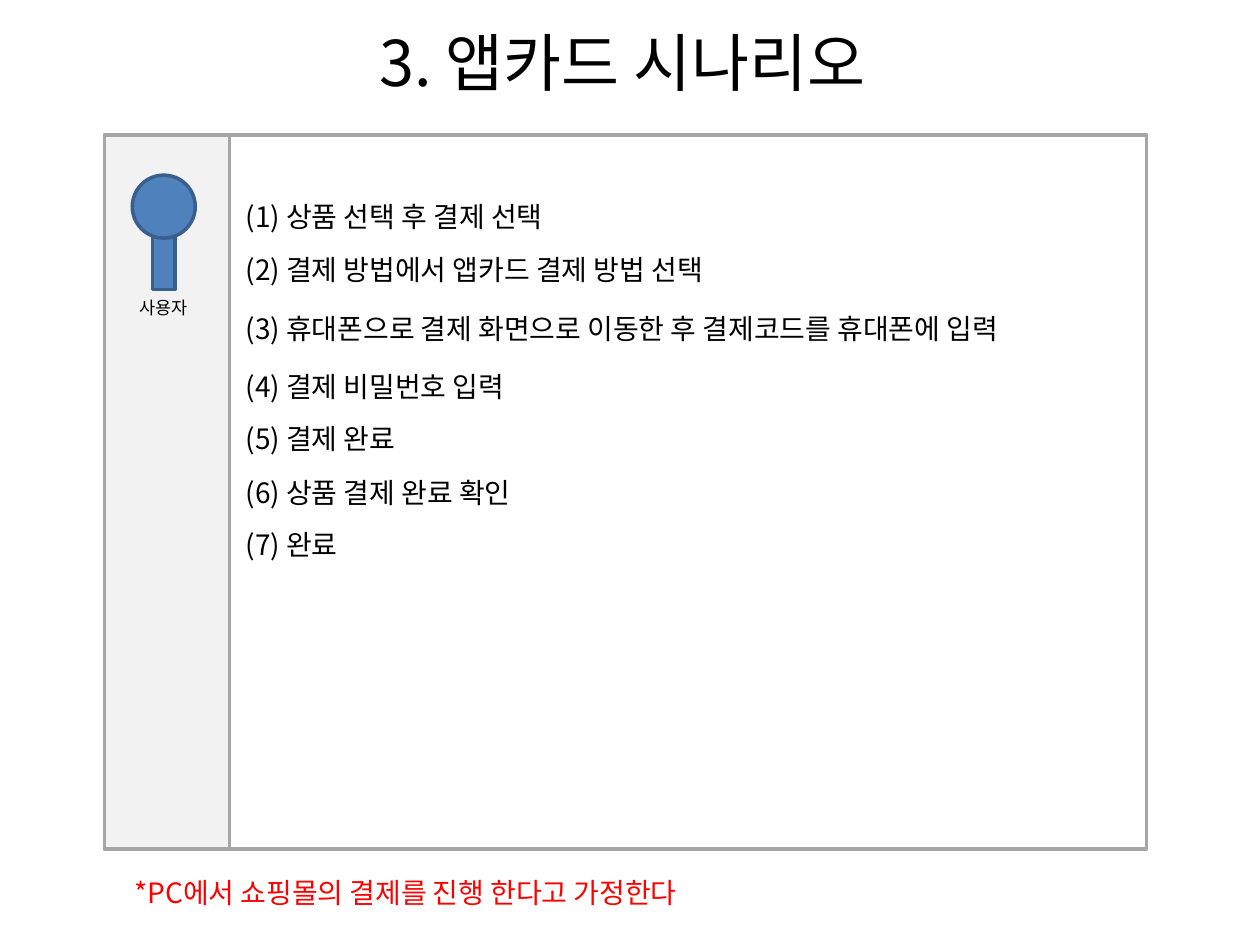
from lxml.etree import SubElement as Sub
from pptx import Presentation
from pptx.dml.color import RGBColor
from pptx.enum.shapes import MSO_SHAPE as Form
from pptx.enum.text import MSO_ANCHOR as Anchor, MSO_AUTO_SIZE as Fit, PP_ALIGN as Align
from pptx.oxml.ns import qn
from pptx.util import Inches, Pt

FONT = "Noto Sans CJK KR"
BLACK = RGBColor(0x00, 0x00, 0x00)
WHITE = RGBColor(0xFF, 0xFF, 0xFF)
RED = RGBColor(0xFF, 0x00, 0x00)
PALE = RGBColor(0xF2, 0xF2, 0xF2)
GRAY = RGBColor(0xA6, 0xA6, 0xA6)
BLUE = RGBColor(0x4F, 0x81, 0xBD)
NAVY = RGBColor(0x3A, 0x5F, 0x8C)

LINE = 0.32
STEPS = [
    ("상품 선택 후 결제 선택", LINE),
    ("결제 방법에서 앱카드 결제 방법 선택", 0.48),
    ("휴대폰으로 결제 화면으로 이동한 후 결제코드를 휴대폰에 입력", 0.52),
    ("결제 비밀번호 입력", 0.51),
    ("결제 완료", 0.47),
    ("상품 결제 완료 확인", 0.48),
    ("완료", 0.47),
]


def apply(item, values):
    """Set each named attribute of an item."""
    for name, value in values.items():
        setattr(item, name, value)


def place(shape, box):
    """Put a shape at left, top, width, height in inches."""
    apply(shape, dict(zip(("left", "top", "width", "height"), map(Inches, box))))


def frame(shape, wrap=False, anchor=Anchor.TOP):
    """Prepare the text frame of a shape and return it."""
    text = shape.text_frame
    apply(text, {
        "word_wrap": wrap, "auto_size": Fit.NONE, "vertical_anchor": anchor,
        "margin_left": Inches(0.1), "margin_right": Inches(0.1),
        "margin_top": Inches(0.05), "margin_bottom": Inches(0.05),
    })
    return text


def write(para, text, size, color=BLACK, align=Align.LEFT, gap=0):
    """Write one formatted paragraph."""
    apply(para, {"alignment": align, "line_spacing": 1.0,
                 "space_before": Pt(round(gap * 72, 1)), "space_after": Pt(0)})
    run = para.add_run()
    run.text = text
    apply(run.font, {"name": FONT, "size": Pt(size), "bold": False})
    run.font.color.rgb = color
    Sub(run.font._element, qn("a:ea"), typeface=FONT)


def block(shapes, form, box, fill, edge):
    """Draw a filled and outlined shape."""
    shape = shapes.add_shape(form, *map(Inches, box))
    shape.shadow.inherit = False
    shape.fill.solid()
    shape.fill.fore_color.rgb = fill
    shape.line.color.rgb = edge
    shape.line.width = Pt(2)


def label(shapes, box, text, size, **style):
    """Add a one-line text box."""
    shape = shapes.add_textbox(*map(Inches, box))
    write(frame(shape).paragraphs[0], text, size, **style)


def panel(shapes):
    """Draw the main panel and its side strip."""
    block(shapes, Form.RECTANGLE, (0.83, 1.07, 8.27, 5.67), WHITE, GRAY)
    block(shapes, Form.RECTANGLE, (0.83, 1.07, 0.99, 5.67), PALE, GRAY)


def user(shapes):
    """Draw the grouped user figure with its name."""
    group = shapes.add_group_shape().shapes
    block(group, Form.RECTANGLE, (1.21, 1.86, 0.18, 0.44), BLUE, NAVY)
    block(group, Form.OVAL, (1.05, 1.39, 0.5, 0.5), BLUE, NAVY)
    label(group, (0.99, 2.31, 0.62, 0.27), "사용자", 10, align=Align.CENTER)


def head(shape, text):
    """Fill the title placeholder."""
    place(shape, (2.7, 0.13, 4.48, 0.71))
    para = frame(shape, anchor=Anchor.MIDDLE).paragraphs[0]
    write(para, text, 36, align=Align.CENTER)


def steps(shape):
    """Fill the body placeholder with the numbered steps."""
    place(shape, (1.85, 1.53, 7.1, 3.35))
    text = frame(shape, wrap=True)
    for num, (step, pitch) in enumerate(STEPS, 1):
        para = text.paragraphs[0] if num == 1 else text.add_paragraph()
        write(para, f"({num}) {step}", 16, gap=pitch - LINE)
        props = para._p.get_or_add_pPr()
        apply_xml = {"marL": "0", "indent": "0"}
        for name, value in apply_xml.items():
            props.set(name, value)
        Sub(props, qn("a:buNone"))


def main():
    """Build and save the slide."""
    deck = Presentation()
    apply(deck, {"slide_width": Inches(10), "slide_height": Inches(7.5)})
    slide = deck.slides.add_slide(deck.slide_layouts[1])
    shapes = slide.shapes
    title, body = slide.placeholders
    panel(shapes)
    for holder in (title, body):
        shapes.element.append(holder.element)
    head(title, "3. 앱카드 시나리오")
    user(shapes)
    steps(body)
    label(shapes, (0.97, 6.9, 5, 0.37),
          "*PC에서 쇼핑몰의 결제를 진행 한다고 가정한다", 16, color=RED)
    deck.save("out.pptx")


if __name__ == "__main__":
    main()
